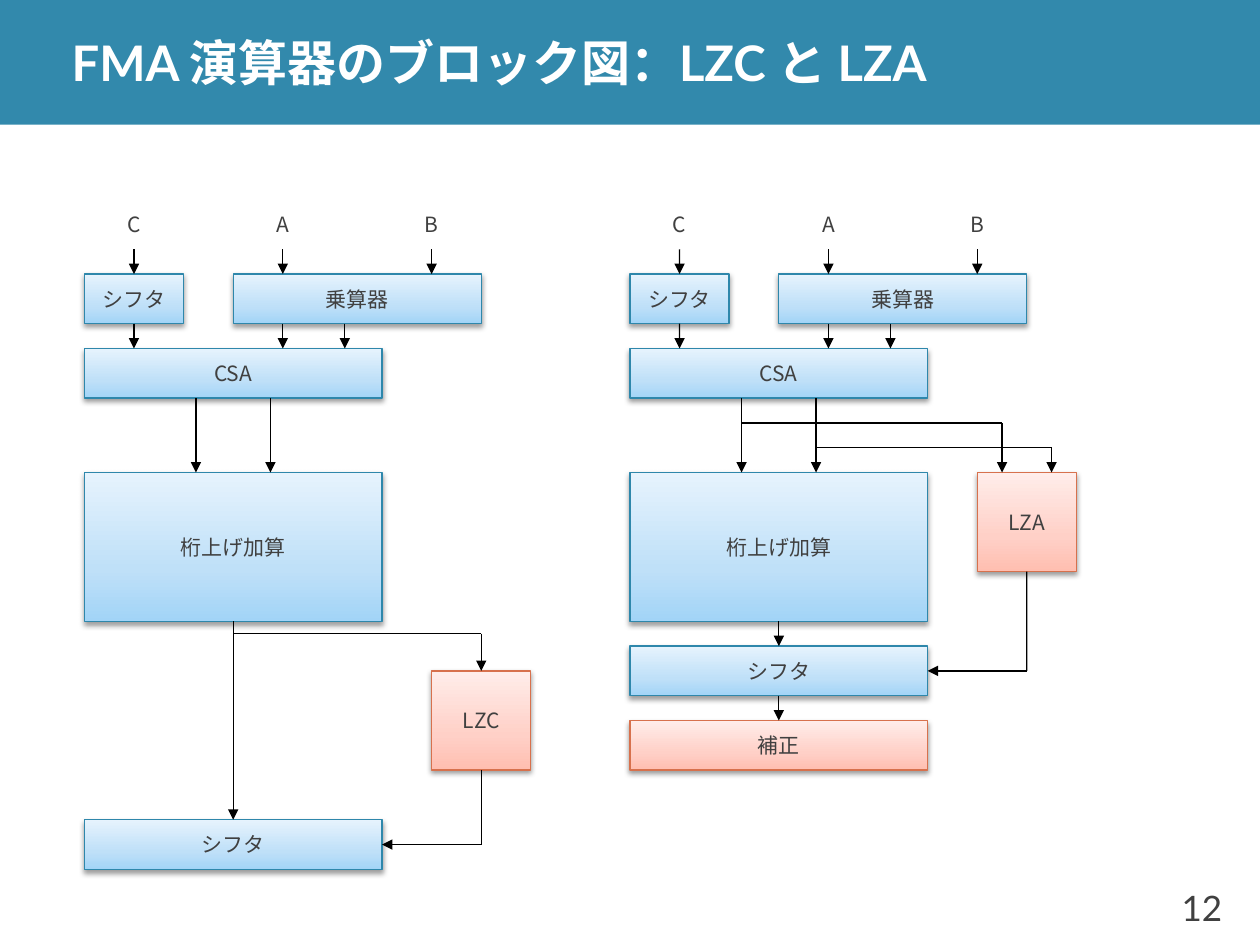
from lxml.etree import SubElement
from pptx import Presentation
from pptx.dml.color import RGBColor
from pptx.enum.shapes import MSO_CONNECTOR, MSO_SHAPE
from pptx.enum.text import MSO_ANCHOR, PP_ALIGN
from pptx.oxml.ns import qn
from pptx.util import Inches, Pt

COLORS = {"bar": "3289AC", "title": "FFFFFF", "text": "404040", "wire": "000000"}
# Outline, then gradient stops from bottom to top
STYLES = {
    "blue": ("2E87AB", [(0, "A2D4F7"), (35, "BFE0F8"), (100, "E6F3FD")]),
    "red": ("D7714D", [(0, "FFBEB0"), (35, "FFD0C7"), (100, "FFEDEA")]),
}
LATIN, CJK = "Lato", "Noto Sans CJK JP"
TITLE, PAGE = "FMA 演算器のブロック図：LZC と LZA", "12"

# Diagrams are laid out on a half-centimetre grid
UNIT, TOP = 0.5 / 2.54, 1.585

# Parts shared by both diagrams, in grid units
INPUTS = [("C", 0), ("A", 6), ("B", 12)]
COMMON_BOXES = [  # text, x, y, width, height, style
    ("シフタ", 0, 3, 4, 2, "blue"),
    ("乗算器", 6, 3, 10, 2, "blue"),
    ("CSA", 0, 6, 12, 2, "blue"),
    ("桁上げ加算", 0, 11, 12, 6, "blue"),
]
COMMON_WIRES = (  # x1, y1, x2, y2, arrowhead
    [(x, 2, x, 3, True) for x in (2, 8, 14)]
    + [(x, 5, x, 6, True) for x in (2, 8, 10.5)]
    + [(x, 8, x, 11, True) for x in (4.5, 7.5)]
)

DIAGRAMS = [
    {   # LZC: count after the addition
        "left": 0.67,
        "boxes": [("LZC", 14, 19, 4, 4, "red"), ("シフタ", 0, 25, 12, 2, "blue")],
        "wires": [
            (6, 17, 6, 25, True),
            (16, 17.5, 6, 17.5, False), (16, 17.5, 16, 19, True),
            (16, 23, 16, 26, False), (16, 26, 12, 26, True),
        ],
    },
    {   # LZA: anticipate in parallel, then correct
        "left": 5,
        "boxes": [
            ("LZA", 14, 11, 4, 4, "red"),
            ("シフタ", 0, 18, 12, 2, "blue"),
            ("補正", 0, 21, 12, 2, "red"),
        ],
        "wires": [
            (6, 17, 6, 18, True), (6, 20, 6, 21, True),
            (15, 9, 4.5, 9, False), (15, 9, 15, 11, True),
            (17, 10, 7.5, 10, False), (17, 10, 17, 11, True),
            (16, 15, 16, 19, False), (16, 19, 12, 19, True),
        ],
    },
]


def rgb(name):
    return RGBColor.from_string(COLORS.get(name, name))


def write(sp, text, size=12, font=CJK, color="text", align=PP_ALIGN.CENTER,
          bold=False, wrap=False):
    tf = sp.text_frame
    tf.text = text
    tf.word_wrap = wrap
    tf.vertical_anchor = MSO_ANCHOR.MIDDLE
    p = tf.paragraphs[0]
    p.alignment = align
    f = p.runs[0].font
    f.size, f.name, f.bold = Pt(size), font, bold
    f.color.rgb = rgb(color)
    SubElement(f._element, qn("a:ea")).set("typeface", CJK)


def add_text(shapes, x, y, w, h, text, **fmt):
    sp = shapes.add_textbox(Inches(x), Inches(y), Inches(w), Inches(h))
    write(sp, text, **fmt)
    return sp


def add_color(parent, color, alpha=None):
    clr = SubElement(parent, qn("a:srgbClr"), val=color)
    if alpha:
        SubElement(clr, qn("a:alpha"), val=str(alpha * 1000))


def add_box(shapes, x, y, w, h, text, style):
    outline, stops = STYLES[style]
    sp = shapes.add_shape(MSO_SHAPE.RECTANGLE, Inches(x), Inches(y), Inches(w), Inches(h))
    sp.line.color.rgb = rgb(outline)
    sp.line.width = Pt(0.75)
    # Three-stop gradient
    sp.fill.gradient()
    sp.fill.gradient_angle = 90
    gs_list = sp.element.spPr.find(".//" + qn("a:gsLst"))
    for gs in list(gs_list):
        gs_list.remove(gs)
    for pos, color in stops:
        add_color(SubElement(gs_list, qn("a:gs"), pos=str(pos * 1000)), color)
    # Soft shadow below
    sp.shadow.inherit = False
    effects = sp.element.spPr.find(qn("a:effectLst"))
    shadow = SubElement(effects, qn("a:outerShdw"), blurRad=str(Pt(3.1)), dist=str(Pt(1.6)),
                        dir="5400000", rotWithShape="0")
    add_color(shadow, COLORS["wire"], 38)
    write(sp, text)
    return sp


def add_wire(shapes, x1, y1, x2, y2, arrow):
    cx = shapes.add_connector(MSO_CONNECTOR.STRAIGHT, Inches(x1), Inches(y1),
                              Inches(x2), Inches(y2))
    cx.line.color.rgb = rgb("wire")
    cx.line.width = Pt(0.75)
    if arrow:
        SubElement(cx.line._get_or_add_ln(), qn("a:tailEnd"), type="triangle")
    SubElement(cx._element.spPr, qn("a:effectLst"))
    return cx


def draw_diagram(shapes, left, boxes, wires):
    def gx(n):
        return left + n * UNIT

    def gy(n):
        return TOP + n * UNIT

    for text, x in INPUTS:
        add_text(shapes, gx(x), gy(0), 4 * UNIT, 2 * UNIT, text)

    sites = {}  # middle of each box side -> (box, connection index)
    for text, x, y, w, h, style in COMMON_BOXES + boxes:
        sp = add_box(shapes, gx(x), gy(y), w * UNIT, h * UNIT, text, style)
        mid_x, mid_y = x + w / 2, y + h / 2
        for i, point in enumerate([(mid_x, y), (x, mid_y), (mid_x, y + h), (x + w, mid_y)]):
            sites[point] = (sp, i)

    for x1, y1, x2, y2, arrow in COMMON_WIRES + wires:
        cx = add_wire(shapes, gx(x1), gy(y1), gx(x2), gy(y2), arrow)
        if (x1, y1) in sites:
            cx.begin_connect(*sites[x1, y1])
        if (x2, y2) in sites:
            cx.end_connect(*sites[x2, y2])


def main():
    prs = Presentation()
    prs.slide_width, prs.slide_height = Inches(10), Inches(7.5)
    shapes = prs.slides.add_slide(prs.slide_layouts[6]).shapes

    # Title bar and page number
    bar = shapes.add_shape(MSO_SHAPE.RECTANGLE, 0, 0, prs.slide_width, Inches(0.99))
    bar.shadow.inherit = False
    bar.fill.solid()
    bar.fill.fore_color.rgb = rgb("bar")
    bar.line.fill.background()
    title = add_text(shapes, 0.47, 0, 9.53, 0.99, TITLE, size=28, font=LATIN,
                     color="title", align=PP_ALIGN.LEFT, bold=True, wrap=True)
    title.text_frame.margin_top = title.text_frame.margin_bottom = 0
    add_text(shapes, 9.13, 6.9, 0.67, 0.6, PAGE, size=20, font=LATIN, align=PP_ALIGN.RIGHT)

    # Block diagrams
    for diagram in DIAGRAMS:
        draw_diagram(shapes, **diagram)

    prs.save("out.pptx")


if __name__ == "__main__":
    main()
